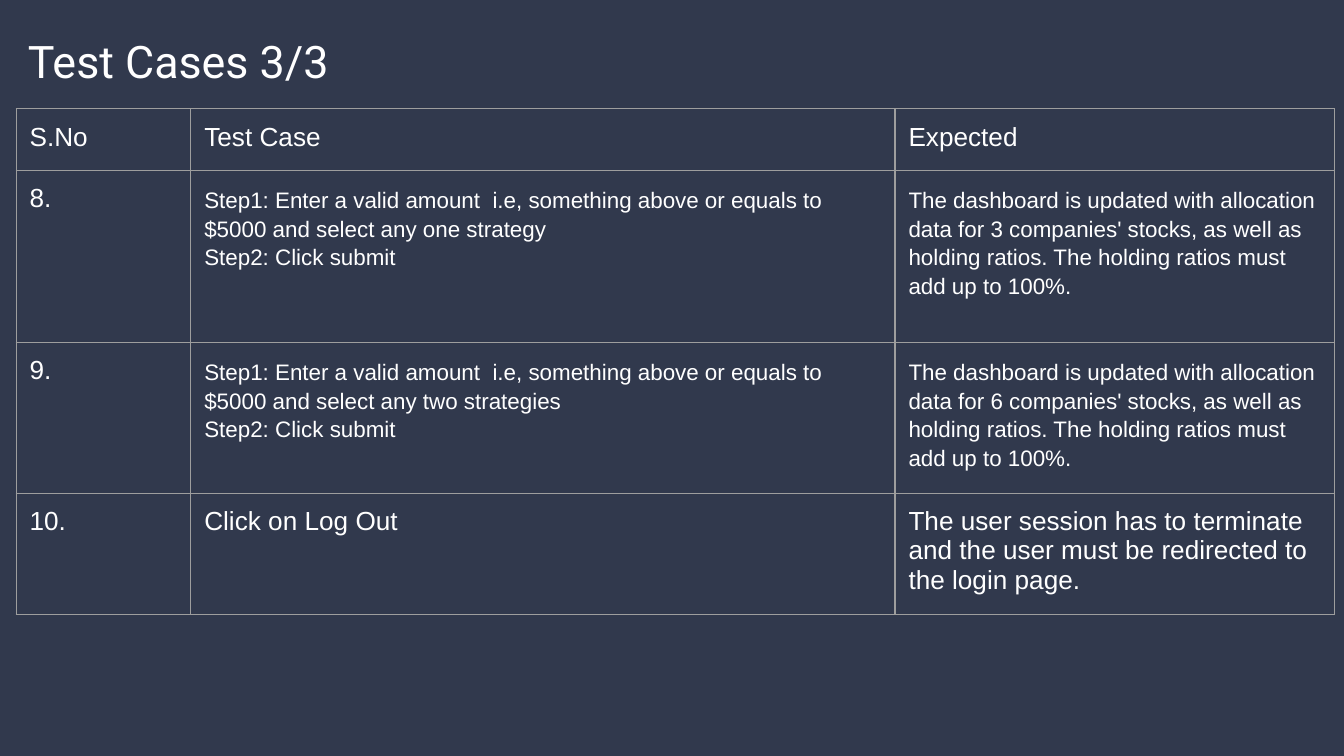
import pptx
import pptx.dml.color
import pptx.oxml
import pptx.oxml.ns
import pptx.util
from pptx.util import Inches

BACKGROUND = "31394D"
TEXT = "FFFFFF"
BORDER = "9E9E9E"
INSET = 0.1

COLUMN_WIDTHS = [1.3, 5.24, 3.27]
ROW_HEIGHTS = [0.46, 1.28, 0.46, 0.46]


def color(value):
    return pptx.dml.color.RGBColor.from_string(value)


def add_run(paragraph, text, size, font):
    run = paragraph.add_run()
    run.text = text
    run.font.size = pptx.util.Pt(size)
    run.font.name = font
    run.font.color.rgb = color(TEXT)


def set_insets(target):
    target.margin_left = target.margin_right = Inches(INSET)
    target.margin_top = target.margin_bottom = Inches(INSET)


def set_borders(cell):
    properties = cell._tc.get_or_add_tcPr()
    namespace = pptx.oxml.ns.nsdecls("a")
    for index, side in enumerate(["lnL", "lnR", "lnT", "lnB"]):
        line = pptx.oxml.parse_xml(
            f'<a:{side} {namespace} w="{pptx.util.Pt(0.75)}"><a:solidFill>'
            f'<a:srgbClr val="{BORDER}"/></a:solidFill></a:{side}>'
        )
        properties.insert(index, line)


def fill_cell(cell, lines, size, spacing):
    set_insets(cell)
    cell.fill.background()
    set_borders(cell)
    for index, line in enumerate(lines):
        text_frame = cell.text_frame
        paragraph = text_frame.add_paragraph() if index else text_frame.paragraphs[0]
        if spacing:
            paragraph.line_spacing = spacing
        add_run(paragraph, line, size, "Arial")


def add_title(slide, left, top, width, height, text):
    shape = slide.shapes.add_textbox(Inches(left), Inches(top), Inches(width), Inches(height))
    shape.text_frame.word_wrap = True
    set_insets(shape.text_frame)
    paragraph = shape.text_frame.paragraphs[0]
    paragraph.line_spacing = 1.15
    paragraph.space_after = pptx.util.Pt(12)
    add_run(paragraph, text, 24, "Roboto")


def add_test_table(slide, left, top, rows):
    table = slide.shapes.add_table(
        len(rows), len(COLUMN_WIDTHS), Inches(left), Inches(top),
        Inches(sum(COLUMN_WIDTHS)), Inches(sum(ROW_HEIGHTS)),
    ).table
    table.first_row = False
    table.horz_banding = False
    for column, width in zip(table.columns, COLUMN_WIDTHS):
        column.width = Inches(width)
    for row, height, (number, steps, expected, detailed) in zip(table.rows, ROW_HEIGHTS, rows):
        row.height = Inches(height)
        size, spacing = (12, 1.15) if detailed else (14, None)
        number_cell, steps_cell, expected_cell = row.cells
        fill_cell(number_cell, [number], 14, None)
        fill_cell(steps_cell, steps, size, spacing)
        fill_cell(expected_cell, [expected], size, spacing)


def strategy_case(number, strategies, companies):
    steps = [
        "Step1: Enter a valid amount  i.e, something above or equals to $5000 "
        f"and select any {strategies}",
        "Step2: Click submit",
    ]
    expected = (
        f"The dashboard is updated with allocation data for {companies} companies' stocks, "
        "as well as holding ratios. The holding ratios must add up to 100%."
    )
    return number, steps, expected, True


def main():
    presentation = pptx.Presentation()
    presentation.slide_width = Inches(10)
    presentation.slide_height = presentation.slide_width * 9 // 16
    slide = presentation.slides.add_slide(presentation.slide_layouts[6])
    slide.background.fill.solid()
    slide.background.fill.fore_color.rgb = color(BACKGROUND)

    add_title(slide, 0.11, 0.09, 4.04, 0.58, "Test Cases 3/3")
    add_test_table(slide, 0.12, 0.81, [
        ("S.No", ["Test Case"], "Expected", False),
        strategy_case("8.", "one strategy", 3),
        strategy_case("9.", "two strategies", 6),
        ("10.", ["Click on Log Out"],
         "The user session has to terminate and the user must be redirected to the login page.",
         False),
    ])
    presentation.save("out.pptx")


if __name__ == "__main__":
    main()
